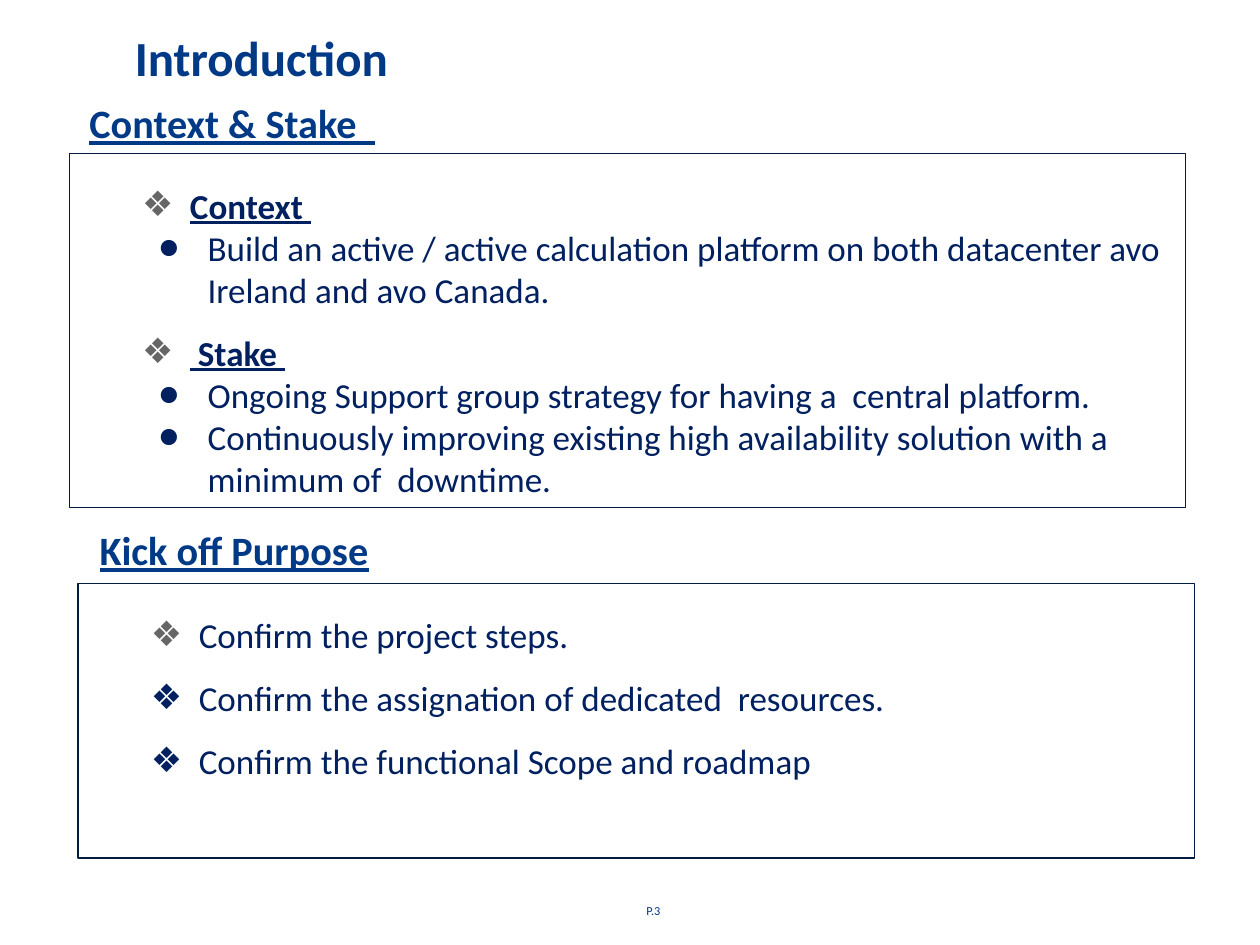
from lxml import etree
from pptx import Presentation
from pptx import util as u
from pptx.dml.color import RGBColor
from pptx.enum import shapes, text
from pptx.oxml.ns import qn

COLORS = {"heading": "003985", "body": "002060", "border": "001C42", "marker": "666666"}
FONT = "Calibri"
DIAMOND, DOT = "❖", "●"


class IntroductionPage:
    """Holds the style and the current slide of the introduction page."""

    def __init__(self, page):
        self.page = page

    def set_frame(self, frame, margins, anchor):
        frame.word_wrap = True
        frame.auto_size = text.MSO_AUTO_SIZE.NONE
        frame.vertical_anchor = anchor
        (frame.margin_left, frame.margin_top,
         frame.margin_right, frame.margin_bottom) = map(u.Inches, margins)

    def add_span(self, para, words, size, color, bold=False, underline=False):
        span = para.add_run()
        span.text = words
        span.font.name = FONT
        span.font.size = u.Pt(size)
        span.font.bold = bold
        span.font.underline = underline
        span.font.color.rgb = RGBColor.from_string(COLORS[color])

    def add_bullet(self, para, symbol, color):
        margin, indent = (0.86, -0.38) if symbol == DIAMOND else (1, -0.39)
        para.level = 1 if symbol == DIAMOND else 0
        properties = para._p.get_or_add_pPr()
        properties.set("marL", str(u.Inches(margin)))
        properties.set("indent", str(u.Inches(indent)))
        fill = etree.SubElement(properties, qn("a:buClr"))
        etree.SubElement(fill, qn("a:srgbClr"), val=COLORS[color])
        etree.SubElement(properties, qn("a:buFont"), typeface=FONT)
        etree.SubElement(properties, qn("a:buChar"), char=symbol)

    def add_label(self, place, words, size, bold=True, underline=False, centred=False):
        box = self.page.shapes.add_textbox(*map(u.Inches, place))
        self.set_frame(box.text_frame, (0, 0, 0, 0), text.MSO_ANCHOR.MIDDLE)
        para = box.text_frame.paragraphs[0]
        para.alignment = text.PP_ALIGN.CENTER if centred else text.PP_ALIGN.LEFT
        if bold:
            para.line_spacing = 0.96
        self.add_span(para, words, size, "heading", bold, underline)

    def add_panel(self, place, items):
        box = self.page.shapes.add_shape(
            shapes.MSO_SHAPE.RECTANGLE, *map(u.Inches, place))
        box.shadow.inherit = False
        box.fill.background()
        box.line.color.rgb = RGBColor.from_string(COLORS["border"])
        box.line.width = u.Pt(0.75)
        frame = box.text_frame
        self.set_frame(frame, (0.1, 0.24, 0.1, 0.05), text.MSO_ANCHOR.TOP)
        for index, (symbol, marker, words, strong) in enumerate(items):
            para = frame.add_paragraph() if index else frame.paragraphs[0]
            para.alignment = text.PP_ALIGN.LEFT
            self.add_bullet(para, symbol, marker)
            if index and symbol == DIAMOND:
                para.space_before = u.Pt(12)
            self.add_span(para, words, 20, "body", strong, strong)


def main():
    deck = Presentation()
    deck.slide_width, deck.slide_height = u.Inches(10), u.Inches(7.5)
    intro = IntroductionPage(deck.slides.add_slide(deck.slide_layouts[6]))

    intro.add_panel((0.55, 1.22, 8.86, 2.81), [
        (DIAMOND, "marker", "Context ", True),
        (DOT, "body", "Build an active / active calculation platform on both "
                      "datacenter avo Ireland and avo Canada.", False),
        (DIAMOND, "marker", " Stake ", True),
        (DOT, "body", "Ongoing Support group strategy for having a  central platform.", False),
        (DOT, "body", "Continuously improving existing high availability solution "
                      "with a minimum of  downtime.", False),
    ])
    intro.add_label((0.71, 0.79, 3.75, 0.4), "Context & Stake  ", 23, underline=True)
    intro.add_label((1.07, 0.23, 7.64, 0.49), "Introduction", 28)
    intro.add_label((4.96, 7.03, 0.45, 0.4), "P.3", 7, bold=False, centred=True)
    intro.add_panel((0.62, 4.63, 8.86, 2.18), [
        (DIAMOND, "marker", "Confirm the project steps.", False),
        (DIAMOND, "body", "Confirm the assignation of dedicated  resources.", False),
        (DIAMOND, "body", "Confirm the functional Scope and roadmap", False),
    ])
    intro.add_label((0.79, 4.18, 2.78, 0.4), "Kick off Purpose", 23, underline=True)
    deck.save("out.pptx")


if __name__ == "__main__":
    main()
